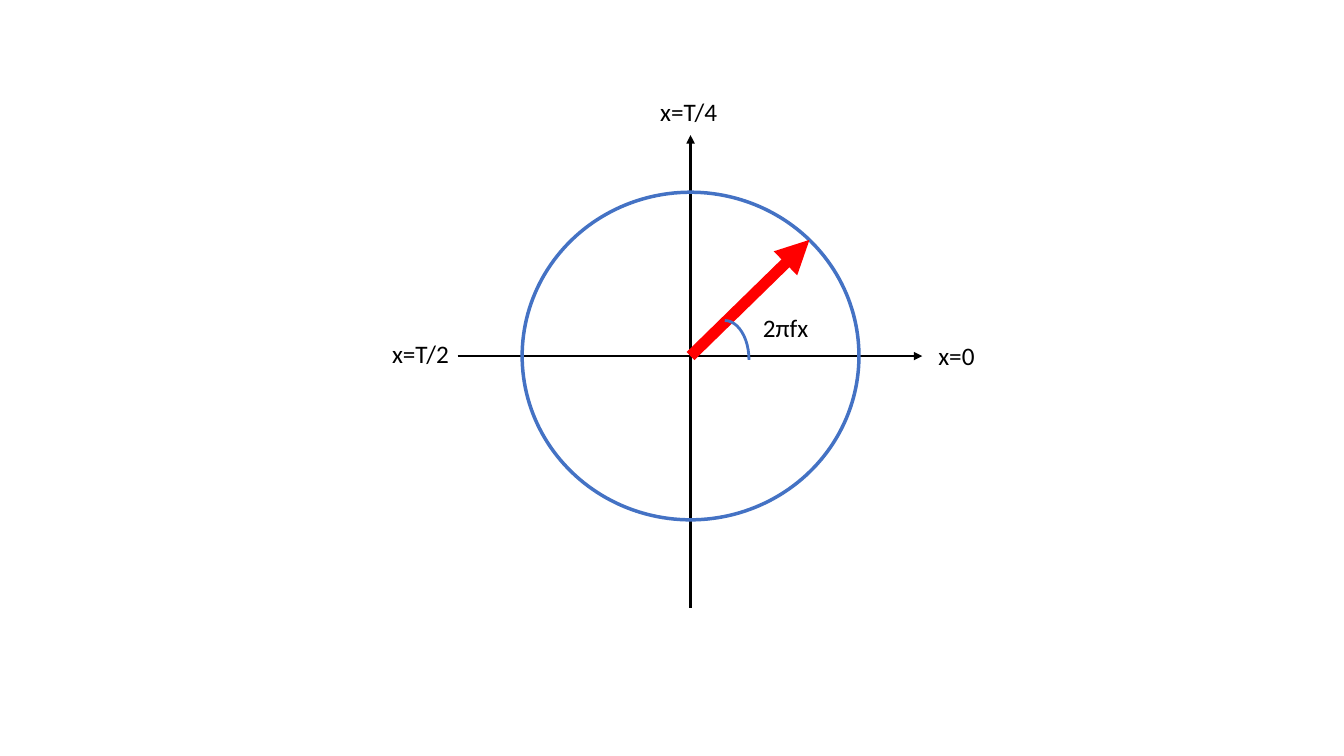
from lxml.etree import SubElement
from pptx import Presentation
from pptx.dml.color import RGBColor
from pptx.enum.shapes import MSO_CONNECTOR, MSO_SHAPE
from pptx.enum.text import MSO_AUTO_SIZE
from pptx.oxml.ns import qn
from pptx.util import Inches, Pt

BLACK, BLUE, RED = "000000", "4472C4", "FF0000"


def rgb(value):
    return RGBColor.from_string(value)


class Diagram:
    font = "Calibri"
    text_size = 18
    text_height = 5.33
    columns = rows = 100

    def __init__(self, prs):
        self.s = prs.slides.add_slide(prs.slide_layouts[6])
        self.column = prs.slide_width / self.columns
        self.row = prs.slide_height / self.rows

    def x(self, columns):
        return round(columns * self.column)

    def y(self, rows):
        return round(rows * self.row)

    def box(self, left, top, width, height):
        return self.x(left), self.y(top), self.x(width), self.y(height)

    def stroke(self, line, color, width):
        line.color.rgb = rgb(color)
        line.width = Pt(width)

    def arrow(self, start, end, color, width):
        c = self.s.shapes.add_connector(
            MSO_CONNECTOR.STRAIGHT,
            self.x(start[0]), self.y(start[1]), self.x(end[0]), self.y(end[1]))
        self.stroke(c.line, color, width)
        SubElement(c.line._get_or_add_ln(), qn("a:tailEnd"), type="triangle")
        SubElement(c._element.spPr, qn("a:effectLst"))

    def outline(self, kind, area, width):
        sp = self.s.shapes.add_shape(kind, *self.box(*area))
        sp.shadow.inherit = False
        sp.fill.background()
        self.stroke(sp.line, BLUE, width)

    def label(self, text, left, top, width):
        sp = self.s.shapes.add_textbox(*self.box(left, top, width, self.text_height))
        tf = sp.text_frame
        tf.word_wrap = False
        tf.auto_size = MSO_AUTO_SIZE.SHAPE_TO_FIT_TEXT
        r = tf.paragraphs[0].add_run()
        r.text = text
        r.font.name = self.font
        r.font.size = Pt(self.text_size)
        r.font.color.rgb = rgb(BLACK)


prs = Presentation()
prs.slide_width, prs.slide_height = Inches(13.33), Inches(7.5)
d = Diagram(prs)

cx, cy = 51.38, 47.1
rx, ry = 12.53, 21.67

d.arrow((34.05, cy), (68.63, cy), BLACK, 2)
d.arrow((cx, 80.4), (cx, 17.87), BLACK, 2)
d.outline(MSO_SHAPE.OVAL, (cx - rx, cy - ry, 2 * rx, 2 * ry), 2.5)
d.arrow((cx, cy), (60.23, 31.73), RED, 8)
d.outline(MSO_SHAPE.ARC, (52.13, 42.4, 3.6, 10.4), 2)

for text, left, top, width in (
    ("2πfx", 56.03, 40.67, 4.95),
    ("x=0", 69.08, 44.4, 4.2),
    ("x=T/4", 48.38, 12.13, 5.78),
    ("x=T/2", 28.43, 44.13, 5.78),
):
    d.label(text, left, top, width)

prs.save("out.pptx")
